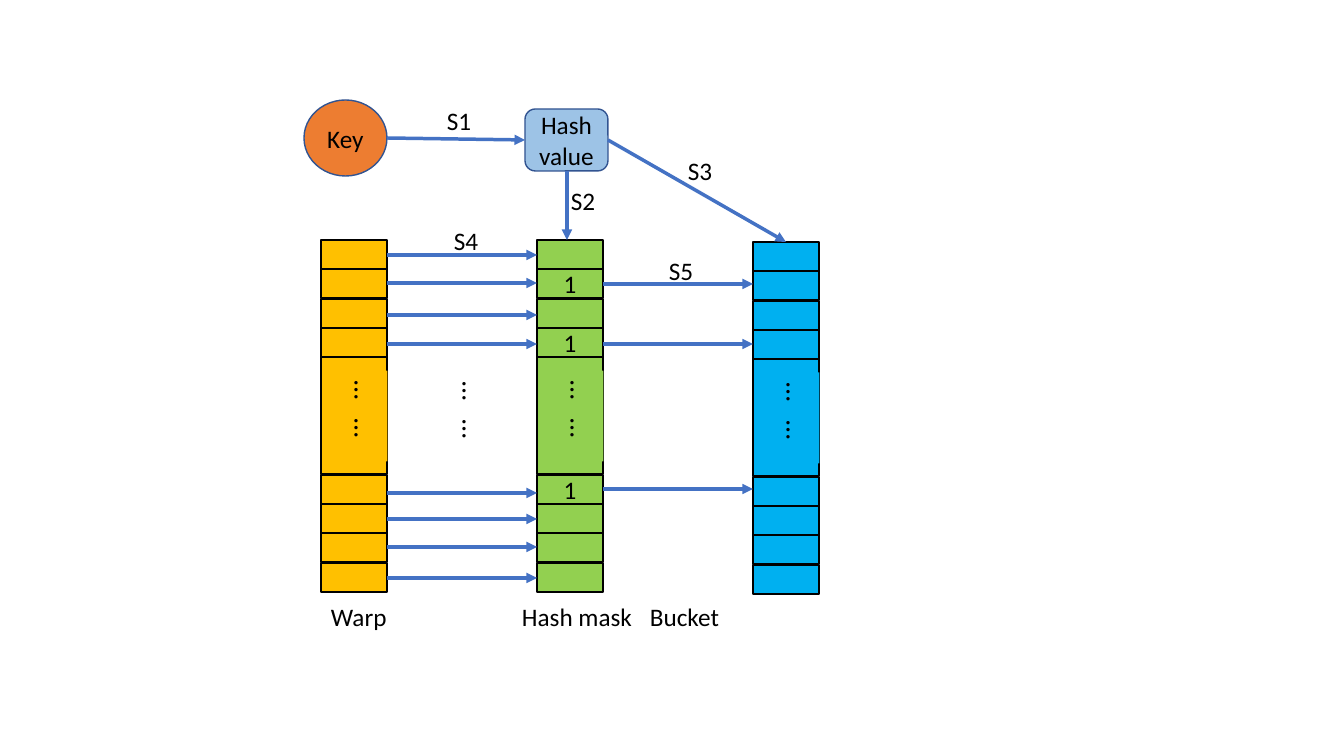
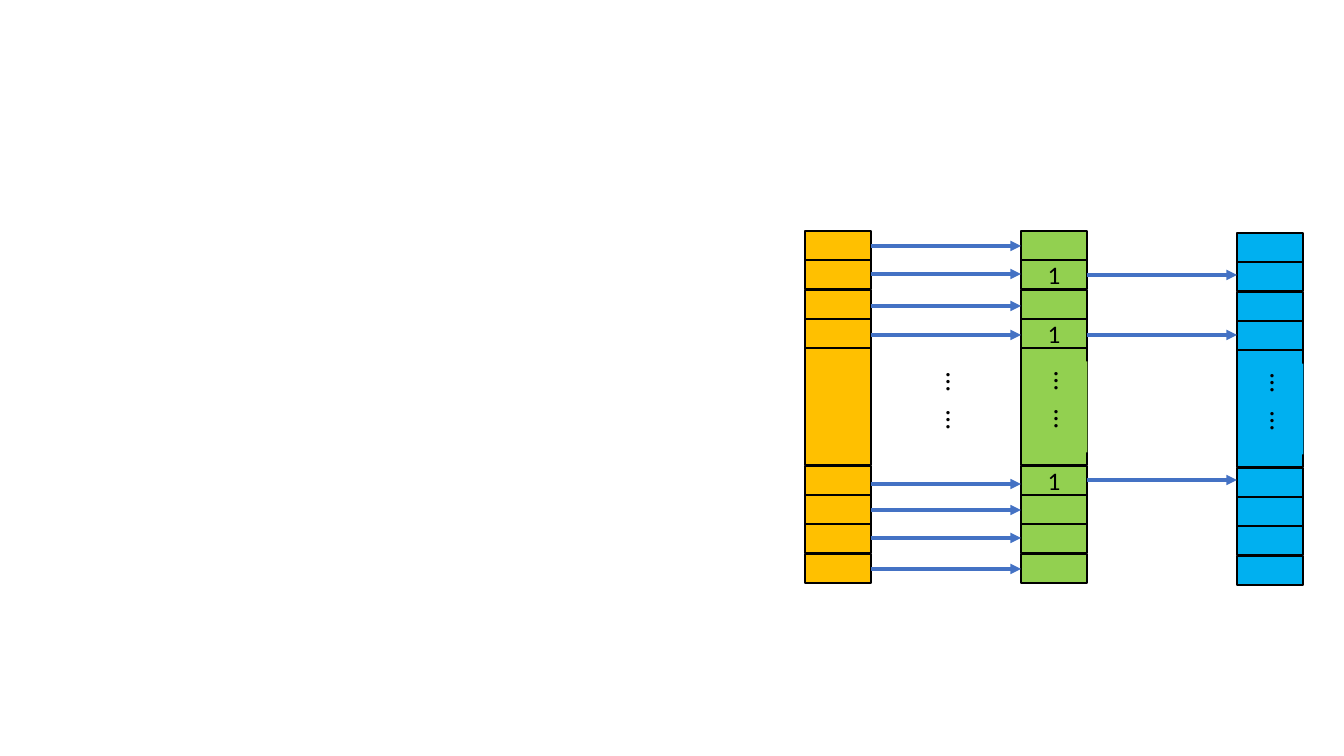
from lxml.etree import SubElement
from pptx import Presentation
from pptx.dml.color import RGBColor
from pptx.enum.shapes import MSO_CONNECTOR as CONNECTOR, MSO_SHAPE as SHAPE
from pptx.enum.text import MSO_ANCHOR as ANCHOR, PP_ALIGN as ALIGN
from pptx.oxml.ns import qn
from pptx.util import Emu, Pt

PX_PER_INCH = 100.8
FONT = "Calibri"
COLORS = {
    "warp": "FFC000",
    "mask": "92D050",
    "bucket": "00B0F0",
    "key": "ED7D31",
    "hash": "9DC3E6",
    "node_line": "325491",
    "arrow": "4472C4",
    "ink": "000000",
}

# Table geometry; rows 4 to 7 of the twelve form one tall "more rows" cell.
COLUMN_WIDTH, COLUMN_PITCH, COLUMN_HEIGHT, ROW_COUNT = 66, 216, 352, 12
ROW_SPANS = [(row, 1) for row in (0, 1, 2, 3, 8, 9, 10, 11)] + [(4, 4)]
MATCHED_ROWS = (1, 3, 8)
BUCKET_DROP = 2
WARP_ARROWS = (15, 43, 75, 104, 253, 279, 307, 338)
MATCH_ARROWS = (44, 104, 249)


def px(length):
    """Turn pixels into EMU."""
    return Emu(round(length * 914400 / PX_PER_INCH))


def rgb(name):
    """Look up a named colour."""
    return RGBColor.from_string(COLORS[name])


def write(shape, text, size=18, align=ALIGN.LEFT, anchor=ANCHOR.TOP,
          wrap=True, tabs=()):
    """Set a shape's text and format, with tab stops given in pixels."""
    frame = shape.text_frame
    frame.word_wrap = wrap
    frame.vertical_anchor = anchor
    paragraph = frame.paragraphs[0]
    paragraph.alignment = align
    run = paragraph.add_run()
    run.text = text
    run.font.name = FONT
    run.font.size = Pt(size)
    run.font.color.rgb = rgb("ink")
    if tabs:
        tab_list = SubElement(paragraph._p.get_or_add_pPr(), qn("a:tabLst"))
        for stop in tabs:
            SubElement(tab_list, qn("a:tab"), pos=str(px(stop)), algn="l")


def add_label(slide, x, y, width, height, text, **text_format):
    """Add a text box and return it."""
    label = slide.shapes.add_textbox(px(x), px(y), px(width), px(height))
    write(label, text, **text_format)
    return label


def add_node(slide, kind, x, y, width, height, fill, line, text=""):
    """Add a filled, outlined shape with centred text."""
    node = slide.shapes.add_shape(kind, px(x), px(y), px(width), px(height))
    node.shadow.inherit = False
    node.fill.solid()
    node.fill.fore_color.rgb = rgb(fill)
    node.line.color.rgb = rgb(line)
    node.line.width = Pt(1)
    if text:
        write(node, text, align=ALIGN.CENTER, anchor=ANCHOR.MIDDLE)


def add_arrow(slide, x1, y1, x2, y2):
    """Add a straight arrow pointing at its second end."""
    arrow = slide.shapes.add_connector(
        CONNECTOR.STRAIGHT, px(x1), px(y1), px(x2), px(y2))
    arrow.line.color.rgb = rgb("arrow")
    arrow.line.width = Pt(2.5)
    properties = arrow.element.spPr
    SubElement(properties.find(qn("a:ln")), qn("a:tailEnd"), type="triangle")
    SubElement(properties, qn("a:effectLst"))


def add_dots(slide, x, y, fill=None):
    """Add vertical dots, on a patch of the given colour if any."""
    dots = add_label(slide, x, y, 91, 44, "…\t…", size=20, tabs=(38,))
    dots.rotation = 90
    if fill:
        dots.fill.solid()
        dots.fill.fore_color.rgb = rgb(fill)


def add_column(slide, x, top, fill, marked=(), dotted=True):
    """Add a column of cells, with 1 in the marked rows."""
    for row, span in ROW_SPANS:
        add_node(slide, SHAPE.RECTANGLE, x,
                 top + round(COLUMN_HEIGHT * row / ROW_COUNT), COLUMN_WIDTH,
                 round(COLUMN_HEIGHT * span / ROW_COUNT), fill, "ink",
                 "1" if row in marked else "")
    if dotted:
        add_dots(slide, x - 1, top + 154, fill)


def add_lookup(slide, left, top, warp_dotted=True):
    """Add the warp, mask and bucket columns with the arrows between."""
    mask, bucket = left + COLUMN_PITCH, left + 2 * COLUMN_PITCH
    add_column(slide, left, top, "warp", dotted=warp_dotted)
    add_column(slide, mask, top, "mask", marked=MATCHED_ROWS)
    add_column(slide, bucket, top + BUCKET_DROP, "bucket")
    for source, target, offsets in ((left, mask, WARP_ARROWS),
                                    (mask, bucket, MATCH_ARROWS)):
        for offset in offsets:
            add_arrow(slide, source + COLUMN_WIDTH, top + offset,
                      target, top + offset)
    add_dots(slide, left + 107, top + 155)


def add_hashing(slide):
    """Add the key, its hash value and the labels of the steps."""
    add_node(slide, SHAPE.OVAL, 304, 100, 83, 76, "key", "node_line", "Key")
    add_node(slide, SHAPE.ROUNDED_RECTANGLE, 525, 109, 83, 62, "hash",
             "node_line", "Hash value")
    for ends in ((387, 138, 525, 140), (567, 171, 567, 240),
                 (608, 140, 786, 242)):
        add_arrow(slide, *ends)
    steps = ((437, 100), (561, 180), (678, 150), (444, 220), (659, 250))
    for number, (x, y) in enumerate(steps, 1):
        add_label(slide, x, y, 45, 40, f"S{number}", wrap=False)
    add_label(slide, 321, 596, 520, 40, "Warp\tHash mask\tBucket",
              tabs=(191, 319))


def main():
    """Build and save the two slides."""
    deck = Presentation()
    deck.slide_width, deck.slide_height = px(1344), px(756)
    blank = deck.slide_layouts[6]

    overview = deck.slides.add_slide(blank)
    add_lookup(overview, 321, 240)
    add_hashing(overview)

    detail = deck.slides.add_slide(blank)
    add_lookup(detail, 805, 231, warp_dotted=False)

    deck.save("out.pptx")


main()
